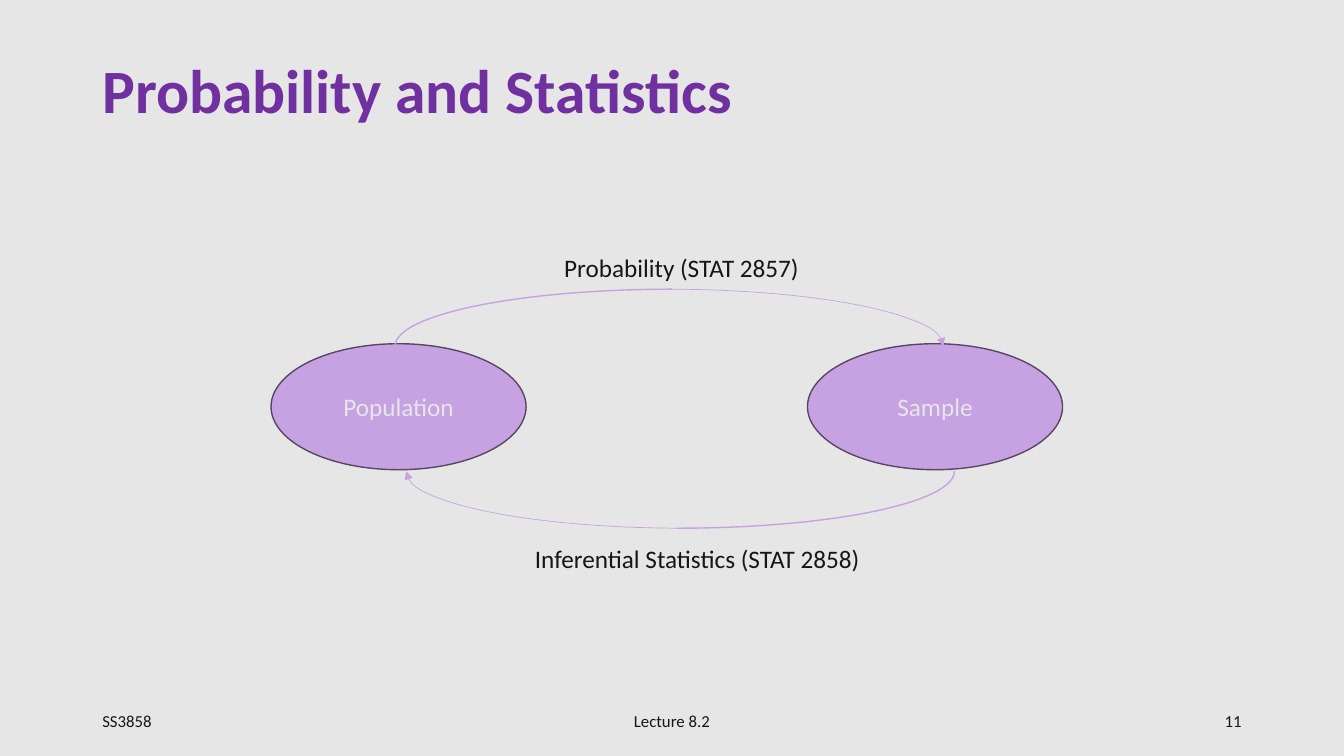
import pptx
import pptx.util
import pptx.dml.color
import pptx.enum.shapes
import pptx.enum.text
import pptx.oxml
import pptx.oxml.ns

Pt = pptx.util.Pt
Align = pptx.enum.text.PP_ALIGN
Anchor = pptx.enum.text.MSO_ANCHOR
Kind = pptx.enum.shapes.MSO_SHAPE

PALE, INK, LILAC, EDGE, VIOLET = "E7E6E6", "171616", "C7A2E3", "574763", "7030A0"


def hue(code):
    return pptx.dml.color.RGBColor.from_string(code)


def write(shape, text, size, color, align=Align.LEFT, anchor=Anchor.MIDDLE, bold=False, wrap=True):
    frame = shape.text_frame
    frame.word_wrap = wrap
    frame.vertical_anchor = anchor
    para = frame.paragraphs[0]
    para.alignment = align
    run = para.add_run()
    run.text = text
    run.font.name = "Calibri"
    run.font.size = Pt(size)
    run.font.bold = bold
    run.font.color.rgb = hue(color)
    return para


def add_text(slide, box, *args, **style):
    return write(slide.shapes.add_textbox(*map(Pt, box)), *args, **style)


def add_title(slide, box):
    para = add_text(slide, box, "Probability and Statistics", 44, VIOLET, bold=True)
    para.line_spacing = 0.9


def add_foot(slide, box):
    left, top, width, height = box
    parts = [("SS3858", 216, 0, Align.LEFT),
             ("Lecture 8.2", 324, 0.5, Align.CENTER),
             ("11", 216, 1, Align.RIGHT)]
    for text, wide, share, align in parts:
        place = (left + (width - wide) * share, top, wide, height)
        add_text(slide, place, text, 12, INK, align)


def add_oval(slide, box, text):
    oval = slide.shapes.add_shape(Kind.OVAL, *map(Pt, box))
    oval.shadow.inherit = False
    oval.fill.solid()
    oval.fill.fore_color.rgb = hue(LILAC)
    oval.line.color.rgb = hue(EDGE)
    oval.line.width = Pt(1)
    write(oval, text, 18, PALE, Align.CENTER)


def add_arc(group, box, turn, width):
    arc = group.shapes.add_shape(Kind.ARC, *map(Pt, box))
    arc.shadow.inherit = False
    arc.fill.background()
    arc.line.color.rgb = hue(LILAC)
    arc.line.width = Pt(width)
    arc.rotation = turn
    return arc


def add_curve(slide, box, turn, shift):
    left, top, width, height = box
    group = slide.shapes.add_group_shape()
    head = add_arc(group, box, turn, 0.5)
    tip = pptx.oxml.parse_xml(
        '<a:tailEnd %s type="triangle"/>' % pptx.oxml.ns.nsdecls("a"))
    head.line._get_or_add_ln().append(tip)
    start = add_arc(group, (left + shift, top, width, height), turn, 1)
    start._element.spPr.xfrm.set("flipH", "1")


def add_cycle(slide, box):
    left, top, width, height = box
    wide, high = 182.2, 90
    mid = top + (height - high) / 2
    add_oval(slide, (left, mid, wide, high), "Population")
    add_oval(slide, (left + width - wide, mid, wide, high), "Sample")
    add_text(slide, (left + 202.3, top, 183.6, 29), "Probability (STAT 2857)",
             18, INK, anchor=Anchor.TOP, wrap=False)
    add_text(slide, (left + 181.4, top + 208, 257.8, 29), "Inferential Statistics (STAT 2858)",
             18, INK, anchor=Anchor.TOP)
    add_curve(slide, (left + 84.4, top + 30.2, 396, 81.4), 0, 4.2)
    add_curve(slide, (left + 96.4, top + 119.5, 396, 81.4), 180, -4.2)


def main():
    deck = pptx.Presentation()
    deck.slide_width, deck.slide_height = Pt(960), Pt(540)
    slide = deck.slides.add_slide(deck.slide_layouts[6])
    slide.background.fill.solid()
    slide.background.fill.fore_color.rgb = hue(PALE)
    add_title(slide, (66, 28.8, 828, 75.6))
    add_foot(slide, (66, 500.5, 828, 28.8))
    add_cycle(slide, (193.6, 176.4, 565.4, 228.2))
    deck.save("out.pptx")


if __name__ == "__main__":
    main()
